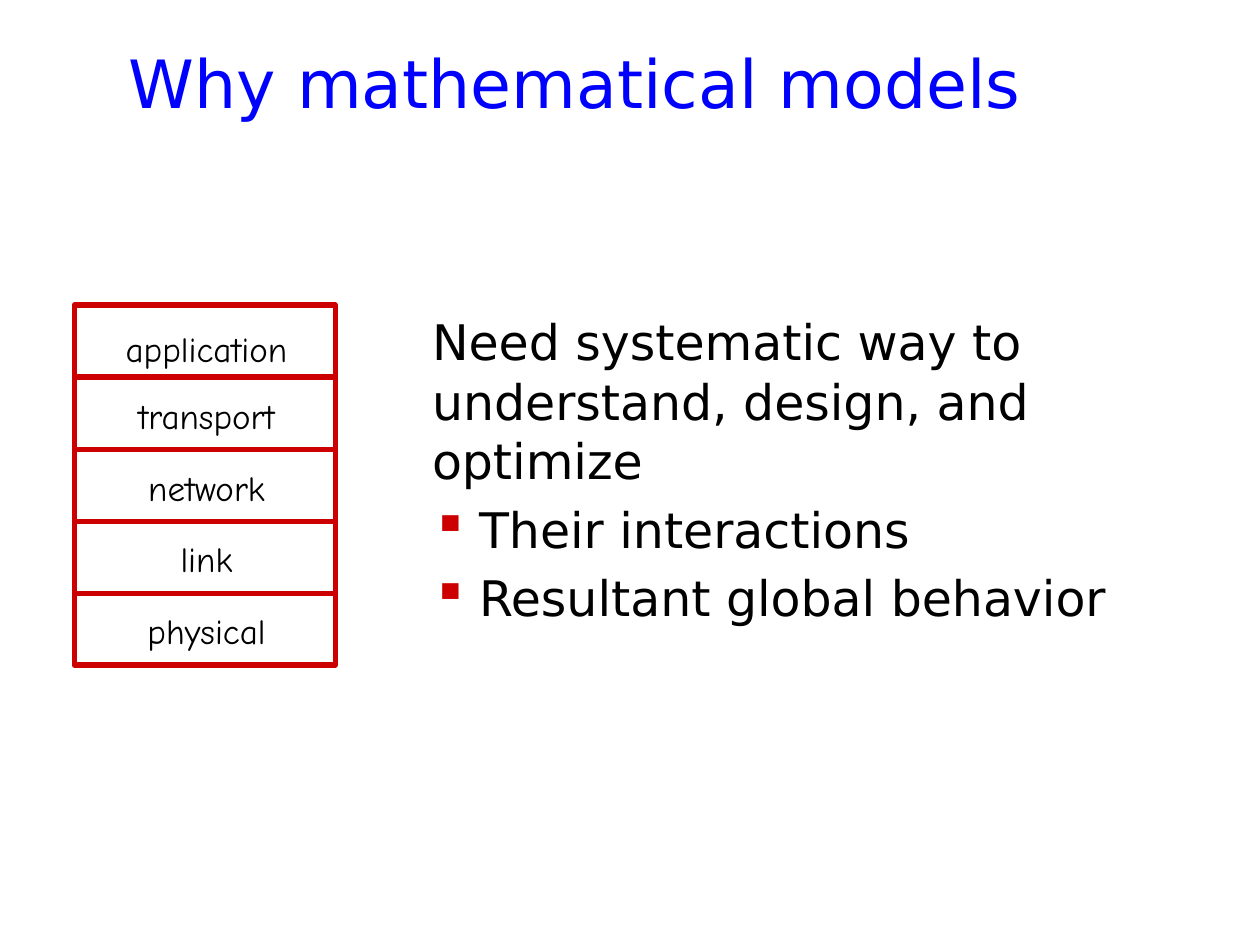
from dataclasses import dataclass

from lxml.etree import SubElement
from pptx import Presentation
from pptx.dml.color import RGBColor
from pptx.enum.shapes import MSO_CONNECTOR, MSO_SHAPE
from pptx.enum.text import MSO_ANCHOR, MSO_AUTO_SIZE, PP_ALIGN
from pptx.oxml.ns import qn
from pptx.slide import Slide
from pptx.util import Cm, Pt


@dataclass(frozen=True)
class Theme:
    blue: RGBColor = RGBColor(0x00, 0x00, 0xFF)
    black: RGBColor = RGBColor(0x00, 0x00, 0x00)
    white: RGBColor = RGBColor(0xFF, 0xFF, 0xFF)
    red: RGBColor = RGBColor(0xCC, 0x00, 0x00)
    main_font: str = "DejaVu Sans"
    label_font: str = "Comic Neue"
    title_size: float = 38
    body_size: float = 28
    label_size: float = 20
    line_width: float = 3


@dataclass(frozen=True)
class Box:
    """Position and size in centimetres."""
    left: float
    top: float
    width: float
    height: float

    def lengths(self) -> tuple:
        return Cm(self.left), Cm(self.top), Cm(self.width), Cm(self.height)


@dataclass(frozen=True)
class Line:
    text: str
    space_before: float = 0
    bulleted: bool = False


THEME = Theme()
TITLE_BOX = Box(2.34, 0.64, 22.43, 2.34)
BODY_BOX = Box(8.46, 6.15, 16.08, 8.46)
STACK_BOX = Box(1.5, 6.15, 5.26, 7.26)
LABEL_BOX = Box(2.16, 6.48, 4.01, 6.78)
BODY = [
    Line("Need systematic way to understand, design, and optimize"),
    Line("Their interactions", 5, True),
    Line("Resultant global behavior", 5, True),
]
LAYERS = [
    Line("application"),
    Line("transport", 14.4),
    Line("network", 16.8),
    Line("link", 16.8),
    Line("physical", 16.8),
]


def style_font(font, name: str, size: float, color: RGBColor) -> None:
    font.name = name
    font.size = Pt(size)
    font.color.rgb = color


def add_bullet(paragraph) -> None:
    """Give the paragraph a hanging red square."""
    properties = paragraph._p.get_or_add_pPr()
    indent = Cm(0.95)
    properties.set("marL", str(indent))
    properties.set("indent", str(-indent))
    color = SubElement(properties, qn("a:buClr"))
    SubElement(color, qn("a:srgbClr"), val=str(THEME.red))
    SubElement(properties, qn("a:buChar"), char="▪")


def add_title(slide: Slide, text: str) -> None:
    title = slide.shapes.title
    title.left, title.top, title.width, title.height = TITLE_BOX.lengths()
    frame = title.text_frame
    frame.text = text
    frame.auto_size = MSO_AUTO_SIZE.NONE
    frame.vertical_anchor = MSO_ANCHOR.TOP
    frame.margin_top = Cm(0.2)
    paragraph = frame.paragraphs[0]
    paragraph.alignment = PP_ALIGN.LEFT
    style_font(paragraph.runs[0].font, THEME.main_font, THEME.title_size, THEME.blue)


def add_lines(slide: Slide, box: Box, lines: list[Line], font_name: str,
              size: float, line_height: float, alignment: PP_ALIGN) -> None:
    frame = slide.shapes.add_textbox(*box.lengths()).text_frame
    frame.word_wrap = True
    for index, line in enumerate(lines):
        paragraph = frame.add_paragraph() if index else frame.paragraphs[0]
        paragraph.text = line.text
        paragraph.alignment = alignment
        paragraph.line_spacing = Pt(line_height)
        if line.space_before:
            paragraph.space_before = Pt(line.space_before)
        if line.bulleted:
            add_bullet(paragraph)
        style_font(paragraph.runs[0].font, font_name, size, THEME.black)


def style_line(line) -> None:
    line.color.rgb = THEME.red
    line.width = Pt(THEME.line_width)


def add_stack(slide: Slide, box: Box, layers: list[Line]) -> None:
    # Frame
    frame = slide.shapes.add_shape(MSO_SHAPE.RECTANGLE, *box.lengths())
    frame.shadow.inherit = False
    frame.fill.solid()
    frame.fill.fore_color.rgb = THEME.white
    style_line(frame.line)

    # Layer names
    add_lines(slide, LABEL_BOX, layers, THEME.label_font, THEME.label_size,
              24, PP_ALIGN.CENTER)

    # Dividers at equal steps
    row_height = box.height / len(layers)
    for row in range(1, len(layers)):
        y = Cm(box.top + row * row_height)
        divider = slide.shapes.add_connector(
            MSO_CONNECTOR.STRAIGHT, Cm(box.left), y, Cm(box.left + box.width), y)
        style_line(divider.line)
        SubElement(divider._element.spPr, qn("a:effectLst"))


def main() -> None:
    presentation = Presentation()
    presentation.slide_width = Cm(25.4)
    presentation.slide_height = Cm(19.05)
    slide = presentation.slides.add_slide(presentation.slide_layouts[5])
    add_title(slide, "Why mathematical models")
    add_lines(slide, BODY_BOX, BODY, THEME.main_font, THEME.body_size,
              34, PP_ALIGN.LEFT)
    add_stack(slide, STACK_BOX, LAYERS)
    presentation.save("out.pptx")


if __name__ == "__main__":
    main()
